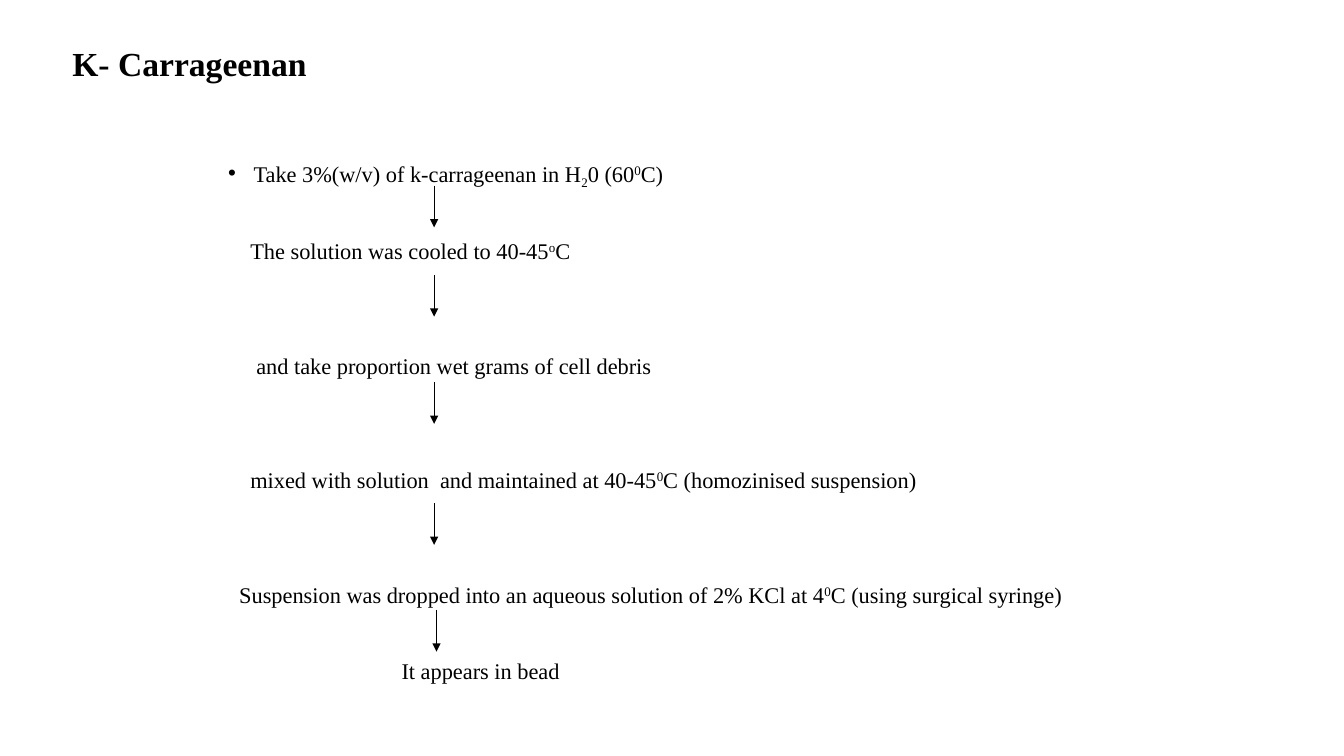
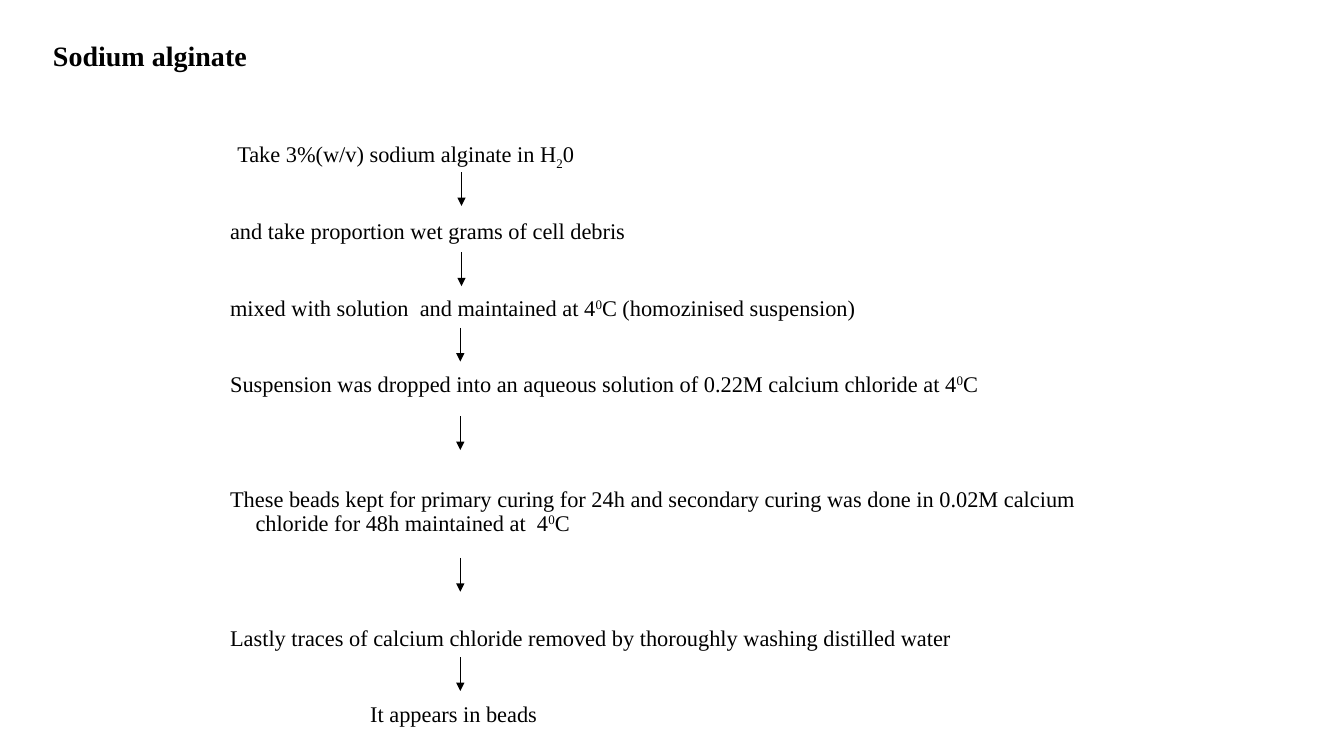
from dataclasses import dataclass

from pptx import Presentation
from pptx.dml.color import RGBColor
from pptx.enum.shapes import MSO_CONNECTOR
from pptx.enum.text import MSO_ANCHOR, MSO_AUTO_SIZE, PP_ALIGN
from pptx.oxml.ns import qn
from pptx.util import Cm, Pt
from lxml.etree import SubElement


@dataclass(frozen=True)
class Theme:
    font: str = "Times New Roman"
    ink: RGBColor = RGBColor(0, 0, 0)
    paper: RGBColor = RGBColor(255, 255, 255)
    body_size: int = 16
    line_spacing: float = 0.9
    near: float = 37.4
    far: float = 64.6
    hang: float = 0.64
    arrow_width: float = 0.75


THEME = Theme()
TITLE_ONLY = 5
BASELINES = {"^": "30000", "_": "-25000"}


@dataclass(frozen=True)
class Step:
    """One line of a procedure; runs starting with ^ or _ are raised or lowered."""
    runs: tuple
    x: float = 0
    gap: float = THEME.near
    bullet: bool = False


def add_text(p, text, size=THEME.body_size, bold=False, baseline=None):
    r = p.add_run()
    r.text = text
    r.font.name = THEME.font
    r.font.size = Pt(size)
    r.font.bold = bold
    r.font.color.rgb = THEME.ink
    if baseline:
        r._r.get_or_add_rPr().set("baseline", baseline)


def set_title(s, text, box, size):
    sp = s.shapes.title
    sp.left, sp.top, sp.width, sp.height = map(Cm, box)
    tf = sp.text_frame
    tf.word_wrap = False
    tf.auto_size = MSO_AUTO_SIZE.NONE
    tf.vertical_anchor = MSO_ANCHOR.TOP
    p = tf.paragraphs[0]
    p.alignment = PP_ALIGN.LEFT
    add_text(p, text, size=size, bold=True)


def indent(p, x, bullet):
    """Start the first line at x, with a hanging indent for the rest."""
    pPr = p._p.get_or_add_pPr()
    pPr.set("marL", str(Cm(x + THEME.hang)))
    pPr.set("indent", str(-Cm(THEME.hang)))
    if bullet:
        SubElement(pPr, qn("a:buFont"), typeface="Arial")
        SubElement(pPr, qn("a:buChar"), char="•")
    else:
        SubElement(pPr, qn("a:buNone"))


def add_steps(s, steps, left, top, height):
    tf = s.shapes.add_textbox(Cm(left), Cm(top), Cm(22.35), Cm(height)).text_frame
    tf.word_wrap = True
    tf.margin_left = tf.margin_top = tf.margin_right = tf.margin_bottom = 0
    for i, step in enumerate(steps):
        p = tf.add_paragraph() if i else tf.paragraphs[0]
        p.line_spacing = THEME.line_spacing
        p.space_before = Pt(step.gap if i else 0)
        indent(p, step.x, step.bullet)
        for text in step.runs:
            baseline = BASELINES.get(text[0])
            add_text(p, text[1:] if baseline else text, baseline=baseline)


def add_down_arrow(s, x, top, length):
    line = s.shapes.add_connector(
        MSO_CONNECTOR.STRAIGHT, Cm(x), Cm(top), Cm(x), Cm(top + length))
    line.line.color.rgb = THEME.ink
    line.line.width = Pt(THEME.arrow_width)
    SubElement(line.line._get_or_add_ln(), qn("a:tailEnd"), type="triangle")
    SubElement(line._element.spPr, qn("a:effectLst"))


def add_procedure(prs, title, title_box, title_size, steps, steps_box,
                  arrows, arrow_length):
    s = prs.slides.add_slide(prs.slide_layouts[TITLE_ONLY])
    s.background.fill.solid()
    s.background.fill.fore_color.rgb = THEME.paper
    set_title(s, title, title_box, title_size)
    add_steps(s, steps, *steps_box)
    for x, top in arrows:
        add_down_arrow(s, x, top, arrow_length)


CARRAGEENAN = [
    Step(("Take 3%(w/v) of k-carrageenan in H", "_2", "0 (60", "^0", "C)"), bullet=True),
    Step(("The solution was cooled to 40-45", "^o", "C"), x=0.56),
    Step(("and take proportion wet grams of cell debris",), x=0.71, gap=THEME.far),
    Step(("mixed with solution  and maintained at 40-45", "^0",
          "C (homozinised suspension)"), x=0.56, gap=THEME.far),
    Step(("Suspension was dropped into an aqueous solution of 2% KCl at 4", "^0",
          "C (using surgical syringe)"), x=0.28, gap=THEME.far),
    Step(("It appears in bead",), x=4.37),
]

ALGINATE = [
    Step(("Take 3%(w/v) sodium alginate in H", "_2", "0"), x=0.18),
    Step(("and take proportion wet grams of cell debris",)),
    Step(("mixed with solution  and maintained at 4", "^0", "C (homozinised suspension)")),
    Step(("Suspension was dropped into an aqueous solution of 0.22M calcium chloride at 4",
          "^0", "C")),
    Step(("These beads kept for primary curing for 24h and secondary curing was done in "
          "0.02M calcium chloride for 48h maintained at  4", "^0", "C"), gap=THEME.far),
    Step(("Lastly traces of calcium chloride removed by thoroughly washing distilled water",),
         gap=THEME.far),
    Step(("It appears in beads",), x=3.53),
]


def main():
    prs = Presentation()
    prs.slide_width, prs.slide_height = Cm(33.87), Cm(19.05)
    add_procedure(
        prs, "K- Carrageenan", (1.57, 0.96, 6.48, 1.27), 24,
        CARRAGEENAN, steps_box=(5.75, 4.04, 13.6),
        arrows=[(10.94, 4.68), (10.94, 6.93), (10.94, 9.63), (10.94, 12.68), (11, 15.37)],
        arrow_length=1.05)
    add_procedure(
        prs, "Sodium alginate", (1.08, 0.85, 5.44, 1.12), 20,
        ALGINATE, steps_box=(5.8, 3.54, 15),
        arrows=[(11.63, 4.34), (11.63, 6.36), (11.6, 8.26), (11.6, 10.49),
                (11.6, 14.06), (11.6, 16.56)],
        arrow_length=0.85)
    prs.save("out.pptx")


if __name__ == "__main__":
    main()
